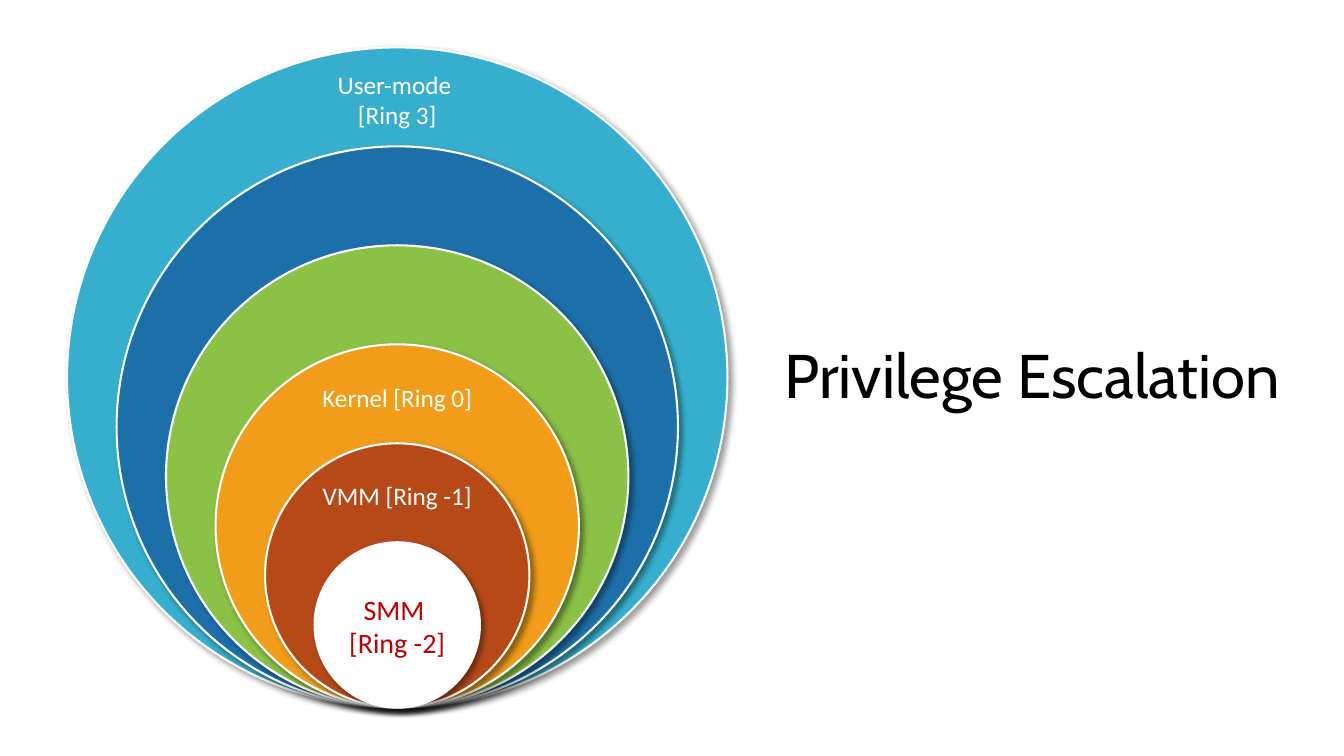
from lxml import etree
from pptx import Presentation
from pptx.dml.color import RGBColor
from pptx.enum import shapes, text
from pptx.oxml.ns import qn
from pptx.util import Inches, Pt


def color(hex_value):
    return RGBColor.from_string(hex_value)


def add_text(left, top, width, height, lines, font, size, hex_value, align):
    box = slide.shapes.add_textbox(Inches(left), Inches(top), Inches(width), Inches(height))
    frame = box.text_frame
    frame.word_wrap = True
    frame.vertical_anchor = text.MSO_ANCHOR.MIDDLE
    frame.margin_left = frame.margin_right = Inches(0.08)
    frame.margin_top = frame.margin_bottom = Inches(0.04)
    for i, line in enumerate(lines):
        paragraph = frame.paragraphs[0] if i == 0 else frame.add_paragraph()
        paragraph.alignment = align
        run = paragraph.add_run()
        run.text = line
        run.font.name = font
        run.font.size = Pt(size)
        run.font.color.rgb = color(hex_value)
    return frame


prs = Presentation()
prs.slide_width, prs.slide_height = Inches(13.33), Inches(7.5)
slide = prs.slides.add_slide(prs.slide_layouts[6])

# Title
title = add_text(7.7, 0.3, 5.87, 6.91, ["Privilege Escalation"], "Cabin", 44,
                 "000000", text.PP_ALIGN.LEFT)
title.paragraphs[0].line_spacing = 0.9

# Privilege rings, outermost first: fill, label lines, label centre, size, colour
rings = [
    ("36AFCE", ["User-mode ", "[Ring 3]"], 0.99, 18, "FFFFFF"),
    ("1D6FA9", [], 0, 18, "FFFFFF"),
    ("8BC145", [], 0, 18, "FFFFFF"),
    ("F19D19", ["Kernel [Ring 0]"], 3.94, 18, "FFFFFF"),
    ("B74919", ["VMM [Ring -1]"], 4.92, 18, "FFFFFF"),
    ("FFFFFF", ["SMM ", "[Ring -2]"], 6.21, 20, "C00000"),
]
center_x, bottom = 3.94, 7.02
outer, inner = 6.55, 1.64
step = (outer - inner) / (len(rings) - 1)
label_width, label_height = 2, 0.8

for i, (fill, lines, label_y, size, label_color) in enumerate(rings):
    diameter = outer - i * step
    ring = slide.shapes.add_shape(
        shapes.MSO_SHAPE.OVAL, Inches(center_x - diameter / 2), Inches(bottom - diameter),
        Inches(diameter), Inches(diameter))
    ring.fill.solid()
    ring.fill.fore_color.rgb = color(fill)
    ring.line.color.rgb = color("FFFFFF")
    ring.line.width = Pt(1.5)

    # Soft shadow towards the lower right
    ring.shadow.inherit = False
    effects = ring._element.spPr.find(qn("a:effectLst"))
    shadow = etree.SubElement(effects, qn("a:outerShdw"), blurRad=str(Pt(4)),
                              dist=str(Pt(3)), dir="2700000", rotWithShape="0")
    shade = etree.SubElement(shadow, qn("a:srgbClr"), val="000000")
    etree.SubElement(shade, qn("a:alpha"), val="40000")

    if lines:
        add_text(center_x - label_width / 2, label_y - label_height / 2, label_width,
                 label_height, lines, "Calibri", size, label_color, text.PP_ALIGN.CENTER)

prs.save("out.pptx")
